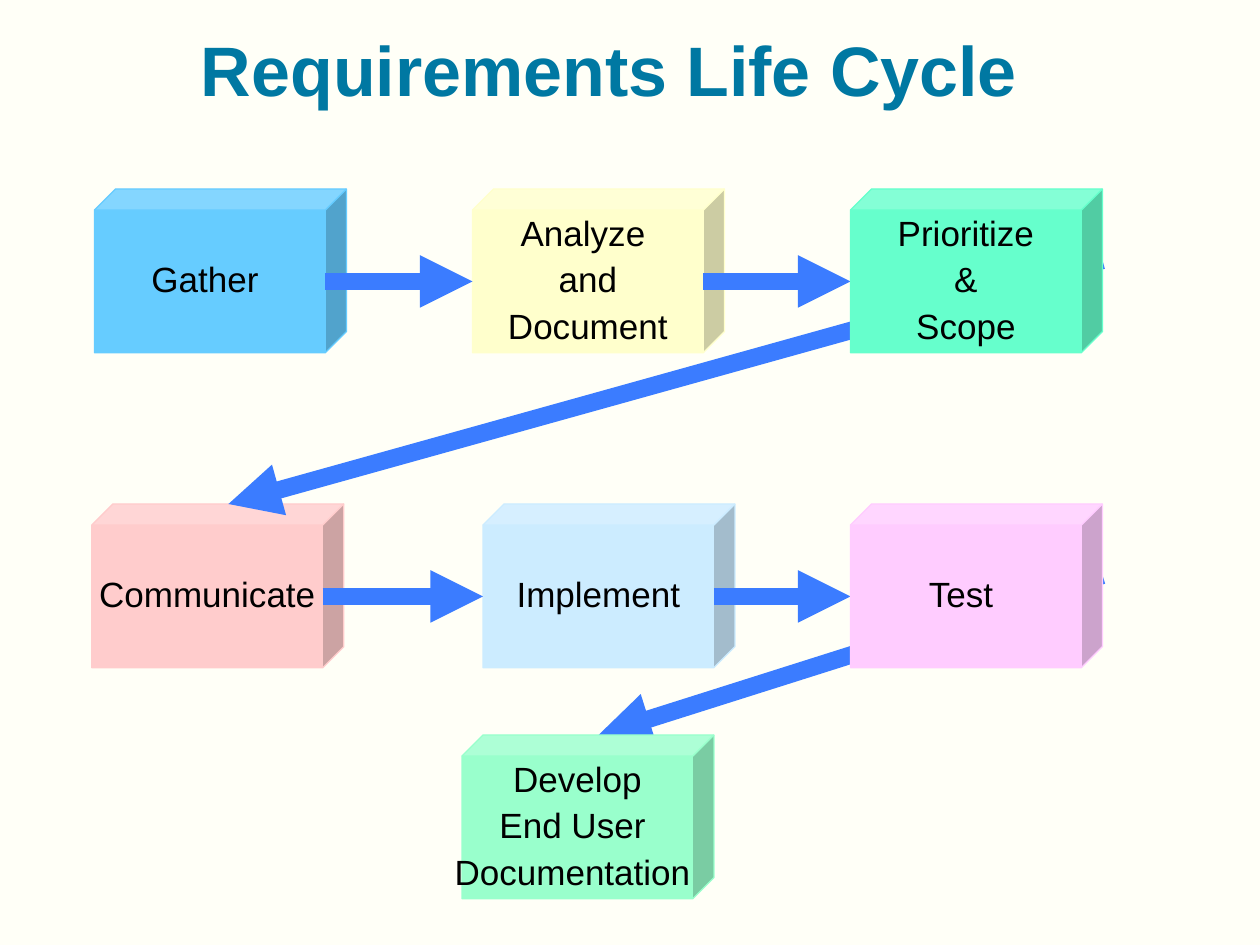
from pptx import Presentation
from pptx.dml.color import RGBColor
from pptx.enum.shapes import MSO_CONNECTOR, MSO_SHAPE
from pptx.enum.text import MSO_ANCHOR, PP_ALIGN
from pptx.oxml.ns import qn
from pptx.util import Pt
from lxml.etree import SubElement

WIDTH, HEIGHT = 144, 93.6
ADJ = 0.129
DEPTH = ADJ * HEIGHT


def rgb(value):
    return RGBColor.from_string(value)


class Deck:
    title_font = {"name": "Arial", "size": Pt(40), "bold": True}
    step_font = {"name": "Arial", "size": Pt(20), "bold": False}
    arrow_color = "3B7CFF"
    arrow_width = 10

    def __init__(self, prs, background):
        self.s = prs.slides.add_slide(prs.slide_layouts[6])
        fill = self.s.background.fill
        fill.solid()
        fill.fore_color.rgb = rgb(background)

    def add_lines(self, tf, lines, font, color, paragraph):
        tf.vertical_anchor = MSO_ANCHOR.MIDDLE
        for i, line in enumerate(lines):
            p = tf.add_paragraph() if i else tf.paragraphs[0]
            p.alignment = PP_ALIGN.CENTER
            for key, value in paragraph.items():
                setattr(p, key, value)
            p.space_before = Pt(5 if i else 0)
            r = p.add_run()
            r.text = line
            for key, value in font.items():
                setattr(r.font, key, value)
            r.font.color.rgb = rgb(color)

    def title(self, text, x, y, w, h):
        tf = self.s.shapes.add_textbox(Pt(x), Pt(y), Pt(w), Pt(h)).text_frame
        tf.word_wrap = True
        self.add_lines(tf, [text], self.title_font, "0078A2", {})

    def cube(self, x, y, color, *lines):
        sp = self.s.shapes.add_shape(
            MSO_SHAPE.CUBE, Pt(x), Pt(y), Pt(WIDTH), Pt(HEIGHT))
        sp.adjustments[0] = ADJ
        sp.shadow.inherit = False
        sp.fill.solid()
        sp.fill.fore_color.rgb = rgb(color)
        sp.line.color.rgb = rgb(color)
        sp.line.width = Pt(0.75)
        tf = sp.text_frame
        tf.word_wrap = False
        self.add_lines(tf, lines, self.step_font, "000000",
                       {"line_spacing": 0.9})

    def arrow(self, start, end):
        points = [Pt(v) for v in (*start, *end)]
        c = self.s.shapes.add_connector(MSO_CONNECTOR.STRAIGHT, *points)
        c.line.color.rgb = rgb(self.arrow_color)
        c.line.width = Pt(self.arrow_width)
        sp_pr = c._element.spPr
        SubElement(sp_pr.find(qn("a:ln")), qn("a:tailEnd"), type="triangle")
        SubElement(sp_pr, qn("a:effectLst"))

    def across(self, source, target):
        y = source[1] + (HEIGHT + DEPTH) / 2
        self.arrow((source[0] + WIDTH - DEPTH, y), (target[0], y))

    def down(self, source, target):
        self.arrow((source[0] + WIDTH, source[1] + (HEIGHT - DEPTH) / 2),
                   (target[0] + (WIDTH + DEPTH) / 2, target[1]))


def main():
    prs = Presentation()
    prs.slide_width, prs.slide_height = Pt(720), Pt(540)
    deck = Deck(prs, "FFFFF7")

    gather, analyze, prioritize = [(x, 108) for x in (54, 270, 486)]
    communicate, implement, test = [(x, 288) for x in (52.5, 276, 486)]
    develop = (264, 420)

    deck.cube(*gather, "66CCFF", "Gather ")
    deck.cube(*analyze, "FFFFCC", "Analyze ", "and", "Document")
    deck.cube(*communicate, "FFCCCC", "Communicate")
    deck.title("Requirements Life Cycle", 18, 24, 660, 30)
    deck.cube(*implement, "CCECFF", "Implement")

    deck.across(gather, analyze)
    deck.across(analyze, prioritize)
    deck.down(prioritize, communicate)
    deck.across(communicate, implement)
    deck.across(implement, test)
    deck.down(test, develop)

    deck.cube(*prioritize, "66FFCC", "Prioritize", "&", "Scope")
    deck.cube(*test, "FFCCFF", "Test ")
    deck.cube(*develop, "99FFCC", "Develop", "End User ", "Documentation ")

    prs.save("out.pptx")


if __name__ == "__main__":
    main()
